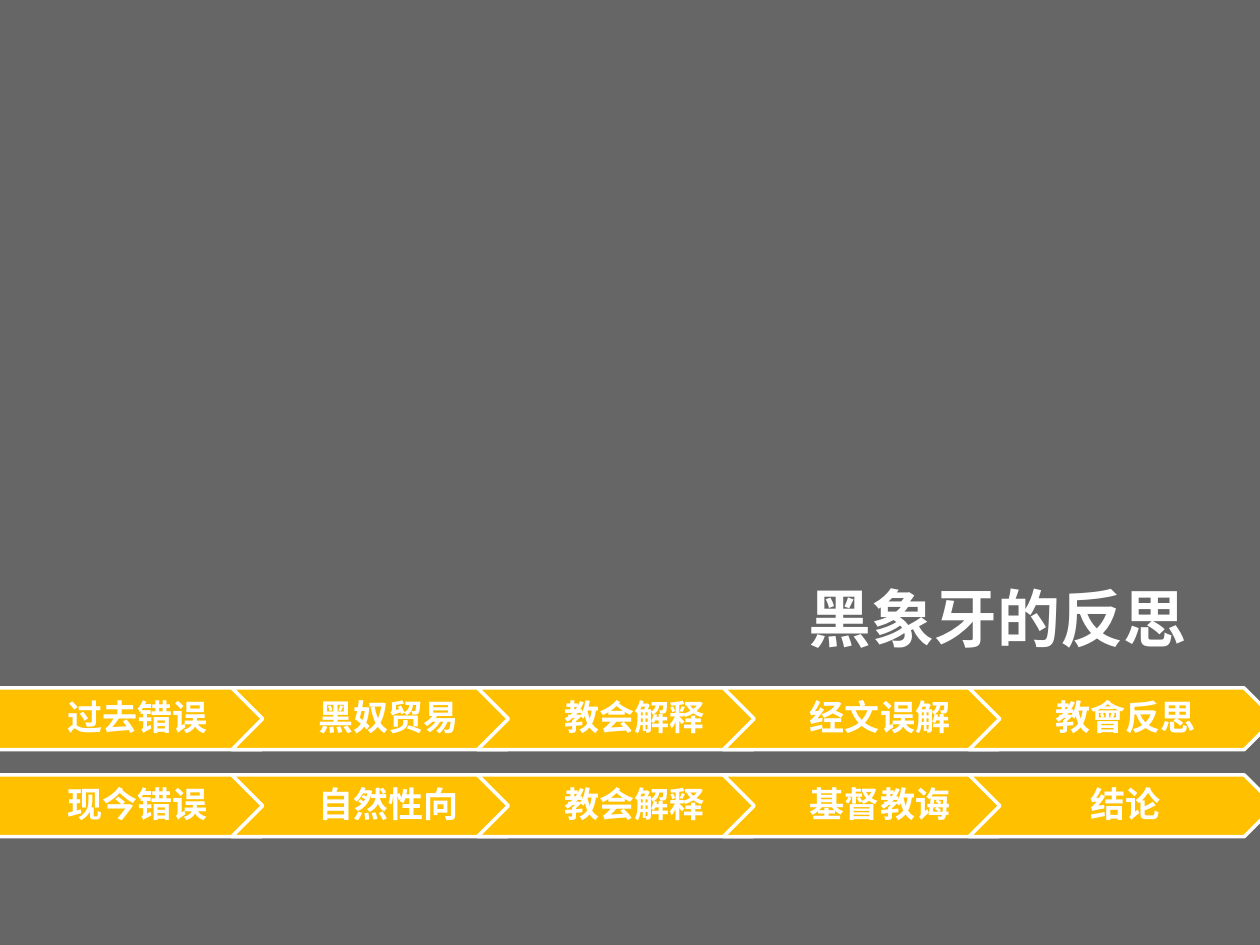
from dataclasses import dataclass
from typing import Any

from lxml import etree
from pptx import Presentation
from pptx.dml.color import RGBColor
from pptx.enum import shapes, text
from pptx.oxml.ns import qn
from pptx.util import Pt

PX = 9144  # 100 px to the inch
WHITE = RGBColor(0xFF, 0xFF, 0xFF)
BLACK = RGBColor(0x00, 0x00, 0x00)
AMBER = RGBColor(0xFF, 0xC0, 0x00)

# Order of drawing: the lower row lies behind the upper one
STEP_ROWS = [
    (615, ["现今错误", "自然性向", "教会解释", "基督教诲", "结论"]),
    (546, ["过去错误", "黑奴贸易", "教会解释", "经文误解", "教會反思"]),
]
STEP_LEFT, STEP_PITCH, STEP_WIDTH, STEP_HEIGHT = -11, 195, 243, 49


def px(*lengths):
    return [length * PX for length in lengths]


def write(frame, content, size, font="Arial", color=WHITE, bold=True,
          align=None, line_spacing=None, space_after=None):
    paragraph = frame.paragraphs[0]
    paragraph.alignment = align
    paragraph.line_spacing = line_spacing
    paragraph.space_after = space_after
    run = paragraph.add_run()
    run.text = content
    run.font.name = font
    run.font.size = Pt(size)
    run.font.bold = bold
    run.font.color.rgb = color


@dataclass
class SlideBuilder:
    slide: Any
    title_size: int = 36
    step_size: int = 20
    outline: int = 2

    def block(self, kind, box, color):
        shape = self.slide.shapes.add_shape(kind, *px(*box))
        shape.shadow.inherit = False
        shape.fill.solid()
        shape.fill.fore_color.rgb = color
        return shape

    def overlay(self, box, color, opacity):
        shape = self.block(shapes.MSO_SHAPE.RECTANGLE, box, color)
        shape.line.fill.background()
        tint = shape.fill._xPr.find(qn("a:solidFill"))[0]
        etree.SubElement(tint, qn("a:alpha"), val=str(opacity * 1000))

    def title(self, box, content):
        frame = self.slide.shapes.add_textbox(*px(*box)).text_frame
        frame.word_wrap = False
        frame.auto_size = text.MSO_AUTO_SIZE.SHAPE_TO_FIT_TEXT
        write(frame, content, self.title_size)

    def step(self, kind, box, content, inset_left):
        shape = self.block(kind, box, AMBER)
        shape.line.color.rgb = WHITE
        shape.line.width = Pt(self.outline)
        frame = shape.text_frame
        frame.word_wrap = True
        frame.vertical_anchor = text.MSO_ANCHOR.MIDDLE
        (frame.margin_left, frame.margin_top,
         frame.margin_right, frame.margin_bottom) = px(inset_left, 6, 3, 6)
        write(frame, content, self.step_size, align=text.PP_ALIGN.CENTER,
              line_spacing=0.9, space_after=Pt(7))

    def step_row(self, top, labels):
        for index, label in enumerate(labels):
            first = index == 0
            kind = shapes.MSO_SHAPE.PENTAGON if first else shapes.MSO_SHAPE.CHEVRON
            left = STEP_LEFT + index * STEP_PITCH
            self.step(kind, (left, top, STEP_WIDTH, STEP_HEIGHT), label,
                      inset_left=12 if first else 9)


def main():
    presentation = Presentation()
    presentation.slide_width, presentation.slide_height = px(1000, 750)
    slide = presentation.slides.add_slide(presentation.slide_layouts[6])
    builder = SlideBuilder(slide)

    # Dark overlay on the white background
    slide.background.fill.solid()
    slide.background.fill.fore_color.rgb = WHITE
    builder.overlay((0, 0, 1000, 751), BLACK, opacity=60)

    # Title
    builder.title((632, 455, 323, 71), "黑象牙的反思")

    # Two rows of steps
    for top, labels in STEP_ROWS:
        builder.step_row(top, labels)

    presentation.save("out.pptx")


if __name__ == "__main__":
    main()
